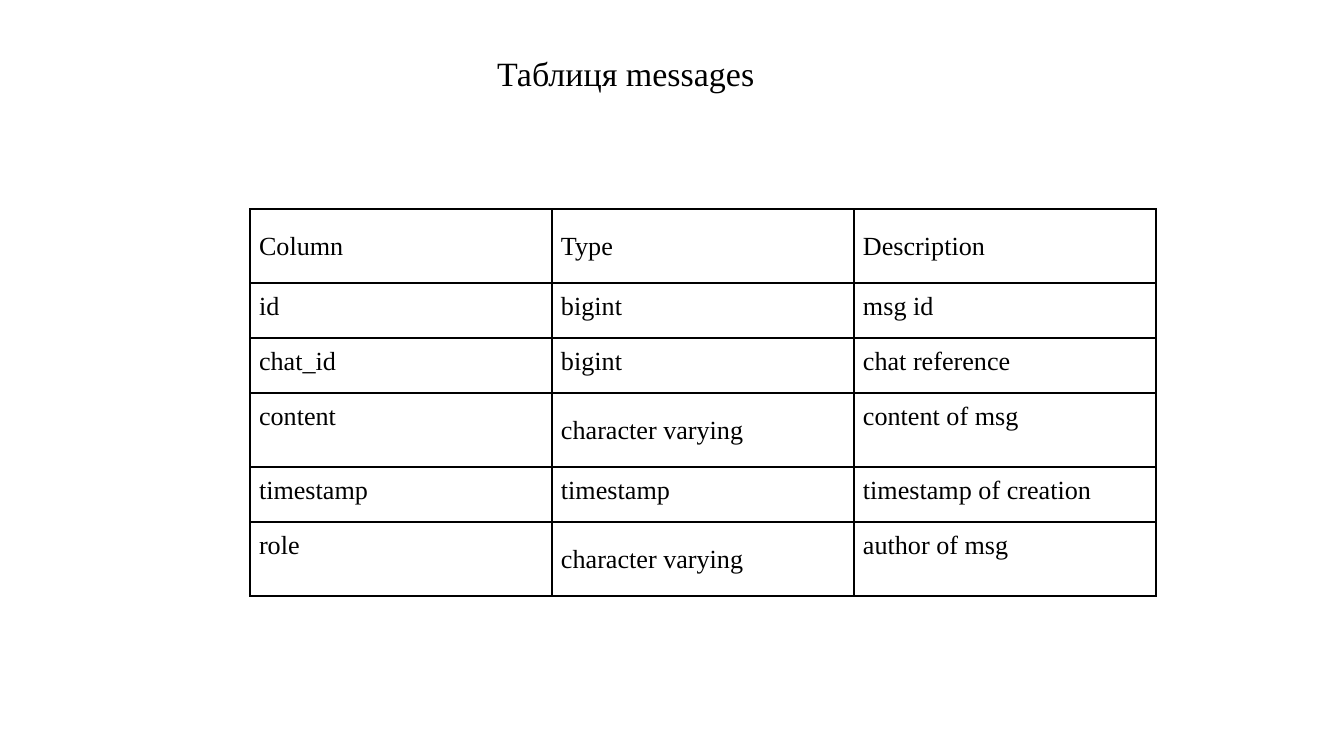
"""Builds the slide that describes the messages table."""
from dataclasses import dataclass

from lxml import etree
from pptx import Presentation
from pptx import util as u
from pptx.dml import color
from pptx.enum import text
from pptx.oxml import ns

SCALE = 914400 / 134.4
MARGINS = ("margin_left", "margin_right", "margin_top", "margin_bottom")


def px(length):
    """Turn whole px into EMU."""
    return u.Emu(round(length * SCALE))


def apply(target, values):
    """Set every attribute named in values on target."""
    for name, value in values.items():
        setattr(target, name, value)


@dataclass(frozen=True)
class Theme:
    """Colours, font and type sizes."""

    ink: str = "000000"
    font: str = "Times New Roman"
    title_size: float = 18.2
    cell_size: float = 14
    border_width: float = 1


class MessagesSlide:
    """Holds the theme and the current slide."""

    def __init__(self, deck, theme):
        """Add a title-only slide to the deck."""
        self.theme = theme
        self.slide = deck.slides.add_slide(deck.slide_layouts[5])

    def wording(self, paragraph, words, size, **layout):
        """Put one styled run into a paragraph."""
        apply(paragraph, layout)
        run = paragraph.add_run()
        run.text = words
        apply(run.font, {"name": self.theme.font, "size": u.Pt(size)})
        run.font.color.rgb = color.RGBColor.from_string(self.theme.ink)

    def title(self, words, left, top, width, height):
        """Move the title placeholder and fill it."""
        heading = self.slide.shapes.title
        apply(heading, {"left": px(left), "top": px(top),
                        "width": px(width), "height": px(height)})
        frame = heading.text_frame
        apply(frame, {"auto_size": text.MSO_AUTO_SIZE.NONE, "word_wrap": True,
                      "vertical_anchor": text.MSO_ANCHOR.TOP})
        apply(frame, dict.fromkeys(MARGINS, px(13)))
        self.wording(frame.paragraphs[0], words, self.theme.title_size,
                     alignment=text.PP_ALIGN.LEFT)

    def border(self, cell):
        """Draw a thin line on all four sides of a cell."""
        properties = cell._tc.get_or_add_tcPr()
        for position, side in enumerate(("lnL", "lnR", "lnT", "lnB")):
            line = etree.Element(ns.qn(f"a:{side}"),
                                 w=str(u.Pt(self.theme.border_width)))
            fill = etree.SubElement(line, ns.qn("a:solidFill"))
            etree.SubElement(fill, ns.qn("a:srgbClr"), val=self.theme.ink)
            properties.insert(position, line)

    def table(self, rows, left, top, column_width, row_heights, is_spaced):
        """Add a bordered table; is_spaced picks the justified 1.5-line cells."""
        columns = len(rows[0])
        grid = self.slide.shapes.add_table(
            len(rows), columns, px(left), px(top),
            px(column_width * columns), px(sum(row_heights))).table
        apply(grid, {"first_row": False, "horz_banding": False})
        for column in grid.columns:
            column.width = px(column_width)
        for r, (entries, height) in enumerate(zip(rows, row_heights)):
            grid.rows[r].height = px(height)
            for c, entry in enumerate(entries):
                cell = grid.cell(r, c)
                apply(cell, dict.fromkeys(MARGINS, px(9)))
                cell.fill.background()
                self.border(cell)
                layout = {"alignment": text.PP_ALIGN.JUSTIFY,
                          "line_spacing": 1.5} if is_spaced(r, entry) else {}
                self.wording(cell.text_frame.paragraphs[0], entry,
                             self.theme.cell_size, **layout)


def main():
    """Build and save the deck."""
    deck = Presentation()
    apply(deck, {"slide_width": px(1344), "slide_height": px(756)})
    schema = [
        ("Column", "Type", "Description"),
        ("id", "bigint", "msg id"),
        ("chat_id", "bigint", "chat reference"),
        ("content", "character varying", "content of msg"),
        ("timestamp", "timestamp", "timestamp of creation"),
        ("role", "character varying", "author of msg"),
    ]

    def is_spaced(row, entry):
        """Tell whether a cell is a heading or a varying type."""
        return row == 0 or entry == "character varying"

    heights = [74 if any(is_spaced(r, entry) for entry in entries) else 55
               for r, entries in enumerate(schema)]
    page = MessagesSlide(deck, Theme())
    page.title("Таблиця messages", 484, 40, 325, 85)
    page.table(schema, 250, 209, 302, heights, is_spaced)
    deck.save("out.pptx")


if __name__ == "__main__":
    main()
